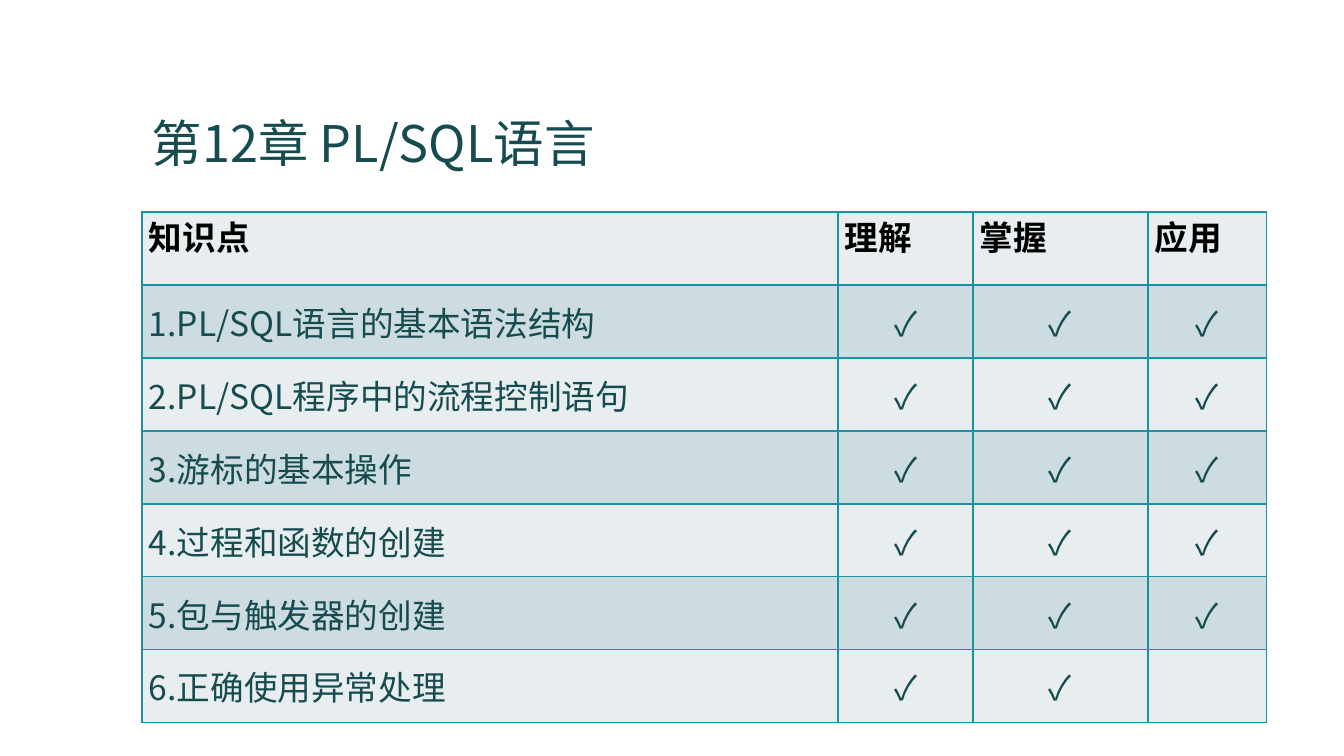
from dataclasses import dataclass

from lxml.etree import SubElement
from pptx import Presentation
from pptx.dml.color import RGBColor
from pptx.enum.text import MSO_ANCHOR as Anchor, PP_ALIGN as Align
from pptx.oxml.ns import qn
from pptx.slide import Slide
from pptx.table import _Cell as Cell
from pptx.text.text import TextFrame
from pptx.util import Emu, Pt

PX_PER_INCH = 100.8


@dataclass(frozen=True)
class Theme:
    font: str = "Noto Sans CJK SC"
    ink: str = "164B4F"
    header_ink: str = "000000"
    border: str = "1B91A1"
    light: str = "E8EEF0"
    dark: str = "CDDCE0"
    title_size: int = 36
    table_size: int = 24


@dataclass(frozen=True)
class Topic:
    name: str
    levels: int  # number of levels ticked, from the left


THEME = Theme()
HEADINGS = ("知识点", "理解", "掌握", "应用")
COLUMN_WIDTHS = (696, 135, 175, 119)
ROW_HEIGHT = 73
TOPICS = (
    Topic("1.PL/SQL语言的基本语法结构", 3),
    Topic("2.PL/SQL程序中的流程控制语句", 3),
    Topic("3.游标的基本操作", 3),
    Topic("4.过程和函数的创建", 3),
    Topic("5.包与触发器的创建", 3),
    Topic("6.正确使用异常处理", 2),
)


def px(length: int) -> Emu:
    return Emu(round(length * 914400 / PX_PER_INCH))


def write(frame: TextFrame, text: str, *, size: int, color: str = THEME.ink,
          bold: bool = False, align: Align = Align.LEFT,
          line_spacing: float = 1.0) -> None:
    paragraph = frame.paragraphs[0]
    paragraph.alignment = align
    paragraph.line_spacing = line_spacing
    run = paragraph.add_run()
    run.text = text
    font = run.font
    font.name, font.size, font.bold = THEME.font, Pt(size), bold
    font.color.rgb = RGBColor.from_string(color)
    # East Asian characters take their own typeface entry
    SubElement(font._element, qn("a:ea"), typeface=THEME.font)


def style_cell(cell: Cell, fill: str, anchor: Anchor, margin_y: int) -> None:
    properties = cell._tc.get_or_add_tcPr()
    for side in ("L", "R", "T", "B"):
        line = SubElement(properties, qn(f"a:ln{side}"), w=str(Pt(1)))
        line_fill = SubElement(line, qn("a:solidFill"))
        SubElement(line_fill, qn("a:srgbClr"), val=THEME.border)
    cell.fill.solid()
    cell.fill.fore_color.rgb = RGBColor.from_string(fill)
    cell.vertical_anchor = anchor
    cell.margin_left = cell.margin_right = px(7)
    cell.margin_top = cell.margin_bottom = px(margin_y)


def add_title(slide: Slide) -> None:
    frame = slide.shapes.add_textbox(px(142), px(52), px(1058), px(126)).text_frame
    frame.word_wrap = True
    frame.vertical_anchor = Anchor.BOTTOM
    write(frame, "第12章 PL/SQL语言", size=THEME.title_size, line_spacing=0.9)


def add_topic_table(slide: Slide) -> None:
    row_count = len(TOPICS) + 1
    table = slide.shapes.add_table(
        row_count, len(HEADINGS), px(142), px(212),
        px(sum(COLUMN_WIDTHS)), px(ROW_HEIGHT * row_count)).table
    table.horz_banding = False
    for column, width in zip(table.columns, COLUMN_WIDTHS):
        column.width = px(width)
    for row in table.rows:
        row.height = px(ROW_HEIGHT)

    # Header row
    for column_index, heading in enumerate(HEADINGS):
        cell = table.cell(0, column_index)
        style_cell(cell, THEME.light, Anchor.TOP, 0)
        write(cell.text_frame, heading, size=THEME.table_size,
              color=THEME.header_ink, bold=True)

    # Topic rows in alternating bands
    for row_index, topic in enumerate(TOPICS, start=1):
        band = THEME.dark if row_index % 2 else THEME.light
        for column_index in range(len(HEADINGS)):
            cell = table.cell(row_index, column_index)
            style_cell(cell, band, Anchor.MIDDLE, 4)
            if column_index == 0:
                write(cell.text_frame, topic.name, size=THEME.table_size)
            elif column_index <= topic.levels:
                write(cell.text_frame, "✓", size=THEME.table_size,
                      align=Align.CENTER)


def main() -> None:
    deck = Presentation()
    deck.slide_width, deck.slide_height = px(1344), px(756)
    slide = deck.slides.add_slide(deck.slide_layouts[6])
    add_title(slide)
    add_topic_table(slide)
    deck.save("out.pptx")


if __name__ == "__main__":
    main()
